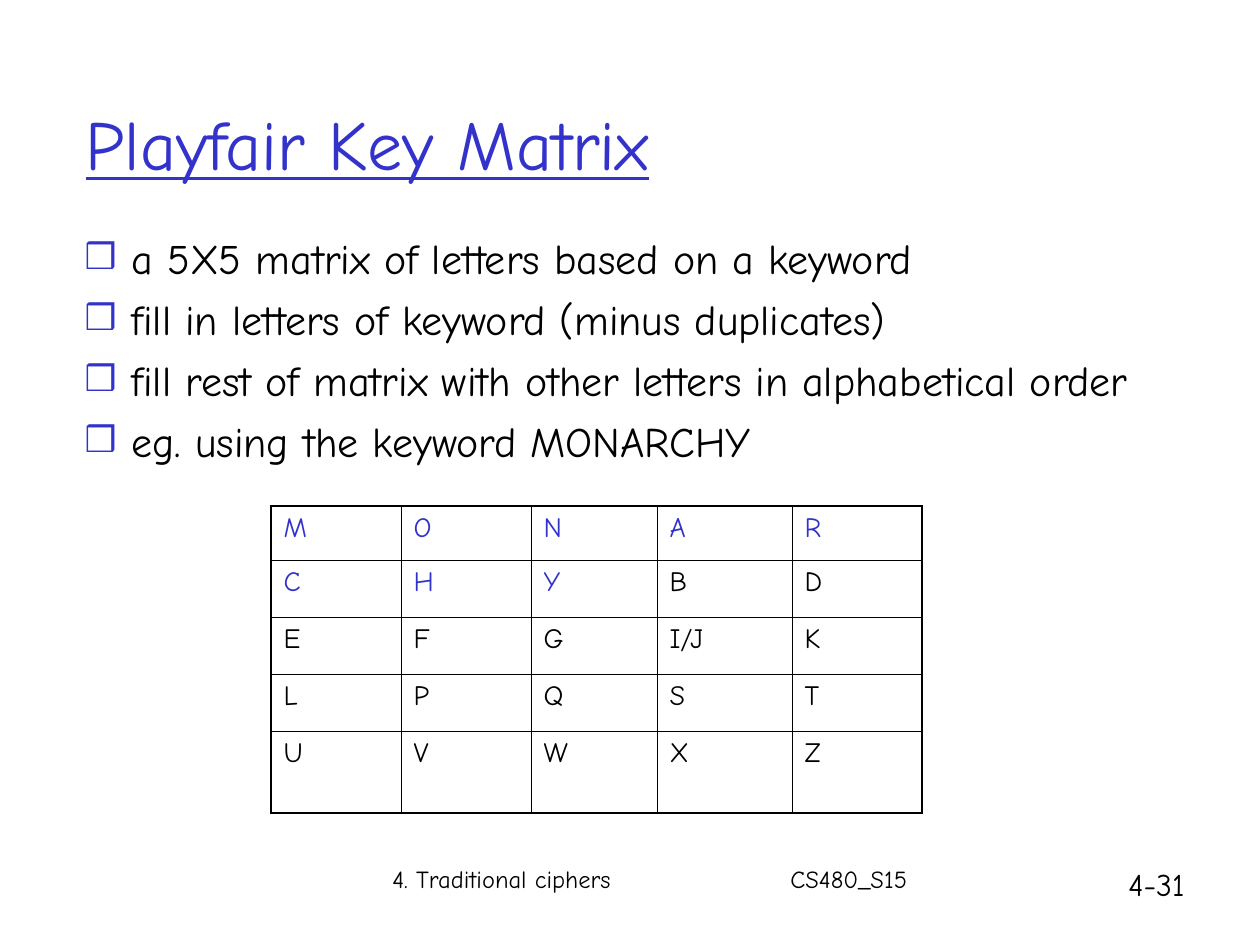
"""Build the Playfair key matrix slide."""
import pptx
import pptx.dml.color
import pptx.enum.text
import pptx.oxml
import pptx.oxml.ns
import pptx.util

SCALE = 914400 / 126
FONT = "Comic Neue"
BLUE = pptx.dml.color.RGBColor(0x33, 0x33, 0xCC)
BLACK = pptx.dml.color.RGBColor(0, 0, 0)
THICK, THIN = 1.08, 0.45

BULLETS = [
    "a 5X5 matrix of letters based on a keyword",
    "fill in letters of keyword (minus duplicates)",
    "fill rest of matrix with other letters in alphabetical order",
    "eg. using the keyword MONARCHY",
]
KEYWORD = "MONARCHY"
MATRIX = ["M O N A R", "C H Y B D", "E F G I/J K", "L P Q S T", "U V W X Z"]
COLUMNS = [130, 130, 126, 135, 130]
ROWS = [54, 57, 57, 57, 82]


def px(n):
    return pptx.util.Emu(round(n * SCALE))


def assign(obj, values):
    for name, value in values.items():
        setattr(obj, name, value)


def add_xml(parent, xml):
    ns = pptx.oxml.ns.nsdecls("a")
    parent.append(pptx.oxml.parse_xml(xml.replace("XMLNS", ns, 1)))


def write(p, text, size, color=BLACK, underline=None):
    r = p.add_run()
    r.text = text
    assign(r.font, {"name": FONT, "size": pptx.util.Pt(size), "underline": underline})
    r.font.color.rgb = color


def place(sp, left, top, width, height):
    assign(sp, {"left": px(left), "top": px(top), "width": px(width), "height": px(height)})
    assign(sp.text_frame, {"word_wrap": True, "auto_size": pptx.enum.text.MSO_AUTO_SIZE.NONE})
    return sp.text_frame


def add_title(s, text):
    tf = place(s.shapes.title, 73, 64, 1071, 156)
    tf.vertical_anchor = pptx.enum.text.MSO_ANCHOR.MIDDLE
    p = tf.paragraphs[0]
    p.alignment = pptx.enum.text.PP_ALIGN.LEFT
    write(p, text, 40, BLUE, True)


def add_bullets(s, lines):
    tf = place(s.placeholders[1], 72, 226, 1075, 358)
    for i, line in enumerate(lines):
        p = tf.add_paragraph() if i else tf.paragraphs[0]
        pPr = p._p.get_or_add_pPr()
        pPr.set("marL", str(px(47)))
        pPr.set("indent", str(-px(47)))
        add_xml(pPr, f'<a:buClr XMLNS><a:srgbClr val="{BLUE}"/></a:buClr>')
        add_xml(pPr, '<a:buSzPct XMLNS val="85000"/>')
        add_xml(pPr, '<a:buChar XMLNS char="❒"/>')
        p.space_before = pptx.util.Pt(6 if i else 0)
        write(p, line, 24)


def add_label(s, text, box, size, tab=None):
    tf = place(s.shapes.add_textbox(0, 0, 0, 0), *box)
    p = tf.paragraphs[0]
    if tab:
        add_xml(p._p.get_or_add_pPr(),
                f'<a:tabLst XMLNS><a:tab pos="{px(tab)}" algn="l"/></a:tabLst>')
    write(p, text, size)


def add_borders(cell, outer):
    tcPr = cell._tc.get_or_add_tcPr()
    for side in "LRTB":
        width = pptx.util.Pt(THICK if outer[side] else THIN)
        add_xml(tcPr, f'<a:ln{side} XMLNS w="{width}"><a:solidFill>'
                      f'<a:srgbClr val="{BLACK}"/></a:solidFill></a:ln{side}>')


def add_matrix(s, left, top):
    frame = s.shapes.add_table(len(ROWS), len(COLUMNS), px(left), px(top),
                               px(sum(COLUMNS)), px(sum(ROWS)))
    table = frame.table
    assign(table, {"first_row": False, "horz_banding": False})
    for column, width in zip(table.columns, COLUMNS):
        column.width = px(width)
    for i, (height, letters) in enumerate(zip(ROWS, MATRIX)):
        table.rows[i].height = px(height)
        for j, letter in enumerate(letters.split()):
            cell = table.cell(i, j)
            add_borders(cell, {"L": j == 0, "R": j == len(COLUMNS) - 1,
                               "T": i == 0, "B": i == len(ROWS) - 1})
            cell.fill.background()
            write(cell.text_frame.paragraphs[0], letter, 16,
                  BLUE if letter in KEYWORD else BLACK)


def main():
    prs = pptx.Presentation()
    assign(prs, {"slide_width": px(1260), "slide_height": px(945)})
    s = prs.slides.add_slide(prs.slide_layouts[1])
    add_label(s, "4-31", (1116, 859, 115, 50), 18)
    add_label(s, "4. Traditional ciphers\tCS480_S15", (380, 858, 755, 63), 14, 398)
    add_title(s, "Playfair Key Matrix")
    add_bullets(s, BULLETS)
    add_matrix(s, 271, 506)
    prs.save("out.pptx")


if __name__ == "__main__":
    main()
